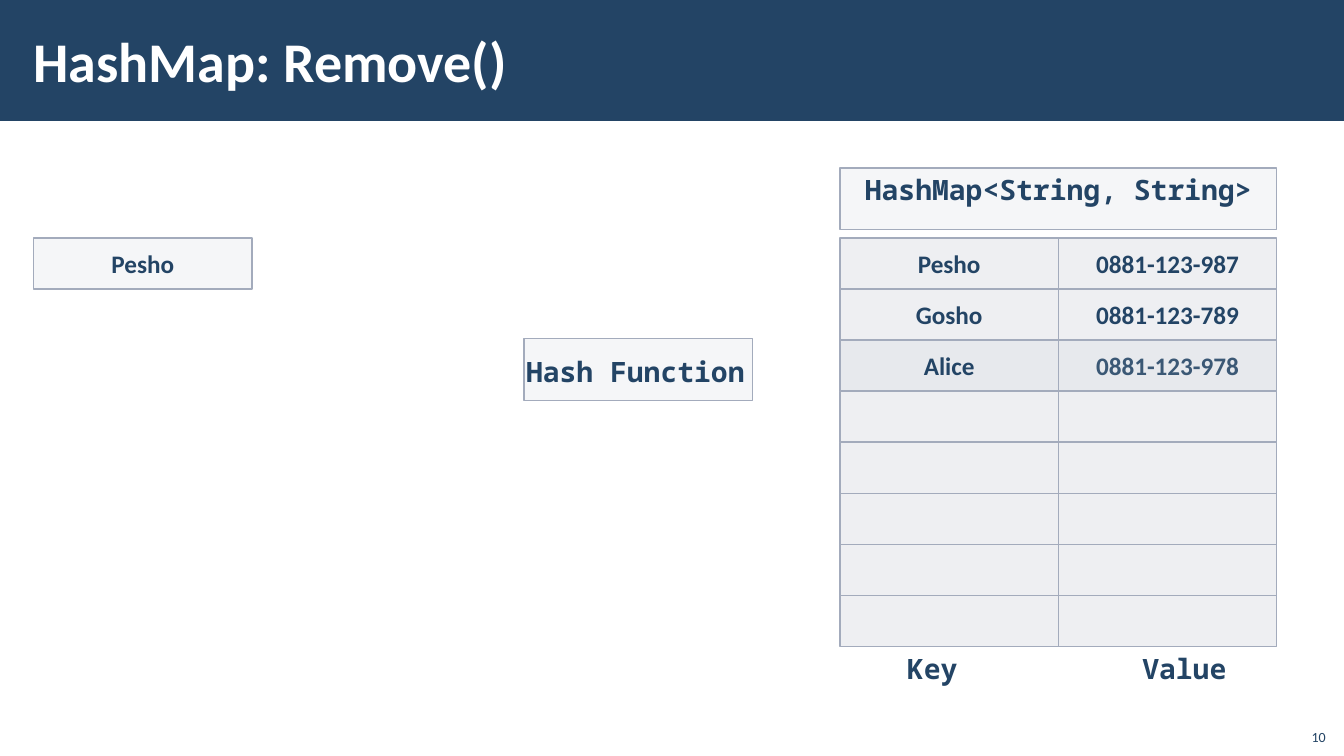
import pptx
import pptx.util
import pptx.dml.color
import pptx.enum.shapes
import pptx.enum.text
import pptx.oxml.ns
import lxml.etree
from dataclasses import dataclass

# Content
TITLE = "HashMap: Remove()"
LOOKUP_KEY = "Pesho"
HASH_LABEL = "Hash Function"
MAP_TYPE = "HashMap<String, String>"
ENTRIES = [
    ("Pesho", "0881-123-987"),
    ("Gosho", "0881-123-789"),
    ("Alice", "0881-123-978"),
]
COLUMN_LABELS = ("Key", "Value")
SLIDE_NUMBER = "10"
BUCKET_COUNT = 8
HIGHLIGHTED_ROW = 2


@dataclass(frozen=True)
class Theme:
    navy: str = "234465"
    muted: str = "3B5875"
    white: str = "FFFFFF"
    box: str = "C2C7D2"
    border: str = "A3ABBC"
    box_opacity: int = 15
    bucket_opacity: int = 28
    highlight_opacity: int = 39
    body_font: str = "Calibri"
    code_font: str = "Noto Sans Mono"
    title_size: int = 40
    code_size: int = 20
    cell_size: int = 18
    number_size: int = 10


THEME = Theme()
Pt = pptx.util.Pt
ALIGN = pptx.enum.text.PP_ALIGN
ANCHOR = pptx.enum.text.MSO_ANCHOR

# Layout, in points
SLIDE_WIDTH, SLIDE_HEIGHT = 960, 540
BAR_HEIGHT = 86.4
MAP_LEFT, MAP_TOP = 600, 170
COLUMN_WIDTH, ROW_HEIGHT, ROW_PITCH = 156, 36.4, 36.5
LABEL_SPREAD = 12
LABEL_HEIGHT = 32


def rgb(value):
    return pptx.dml.color.RGBColor.from_string(value)


def write(shape, text, size, font=THEME.body_font, color=THEME.navy, bold=True,
          align=ALIGN.CENTER, anchor=ANCHOR.MIDDLE, insets=(7.2, 3.6, 7.2, 3.6)):
    frame = shape.text_frame
    frame.text = text
    frame.word_wrap = True
    frame.vertical_anchor = anchor
    (frame.margin_left, frame.margin_top,
     frame.margin_right, frame.margin_bottom) = map(Pt, insets)
    paragraph = frame.paragraphs[0]
    paragraph.alignment = align
    for run in paragraph.runs:
        run.font.name = font
        run.font.size = Pt(size)
        run.font.bold = bold
        run.font.color.rgb = rgb(color)


def add_box(slide, left, top, width, height, opacity=THEME.box_opacity):
    shape = slide.shapes.add_shape(
        pptx.enum.shapes.MSO_SHAPE.RECTANGLE,
        Pt(left), Pt(top), Pt(width), Pt(height))
    shape.shadow.inherit = False
    shape.fill.solid()
    shape.fill.fore_color.rgb = rgb(THEME.box)
    color = shape.element.spPr.find(".//" + pptx.oxml.ns.qn("a:srgbClr"))
    alpha = lxml.etree.SubElement(color, pptx.oxml.ns.qn("a:alpha"))
    alpha.set("val", str(opacity * 1000))
    shape.line.color.rgb = rgb(THEME.border)
    shape.line.width = Pt(1)
    return shape


def add_label(slide, left, top, width, height):
    return slide.shapes.add_textbox(Pt(left), Pt(top), Pt(width), Pt(height))


def add_title(slide):
    bar = slide.shapes.add_shape(
        pptx.enum.shapes.MSO_SHAPE.RECTANGLE,
        0, 0, Pt(SLIDE_WIDTH), Pt(BAR_HEIGHT))
    bar.shadow.inherit = False
    bar.fill.solid()
    bar.fill.fore_color.rgb = rgb(THEME.navy)
    bar.line.fill.background()
    title = slide.shapes.title
    title.element.addprevious(bar.element)
    title.left, title.top, title.width, title.height = map(Pt, (15, 8, 765, 70))
    write(title, TITLE, THEME.title_size, color=THEME.white,
          align=ALIGN.LEFT, insets=(9, 3, 9, 3))


def add_hash_map(slide):
    # Type header
    header = add_box(slide, MAP_LEFT, 120, 2 * COLUMN_WIDTH, 44)
    write(header, MAP_TYPE, THEME.code_size, THEME.code_font, anchor=ANCHOR.TOP)

    # Buckets
    for row in range(BUCKET_COUNT):
        highlighted = row == HIGHLIGHTED_ROW
        opacity = THEME.highlight_opacity if highlighted else THEME.bucket_opacity
        for column in range(2):
            cell = add_box(slide, MAP_LEFT + column * COLUMN_WIDTH,
                           MAP_TOP + row * ROW_PITCH,
                           COLUMN_WIDTH, ROW_HEIGHT, opacity)
            if row < len(ENTRIES):
                color = THEME.muted if highlighted and column == 1 else THEME.navy
                write(cell, ENTRIES[row][column], THEME.cell_size, color=color)

    # Column labels
    label_top = MAP_TOP + BUCKET_COUNT * ROW_PITCH
    for column, text in enumerate(COLUMN_LABELS):
        shift = LABEL_SPREAD * (2 * column - 1)
        label = add_label(slide, MAP_LEFT + column * COLUMN_WIDTH + shift,
                          label_top, COLUMN_WIDTH, LABEL_HEIGHT)
        write(label, text, THEME.code_size, THEME.code_font, anchor=ANCHOR.TOP)


def main():
    presentation = pptx.Presentation()
    presentation.slide_width = Pt(SLIDE_WIDTH)
    presentation.slide_height = Pt(SLIDE_HEIGHT)
    slide = presentation.slides.add_slide(presentation.slide_layouts[5])

    add_title(slide)

    # Key to remove and hash function
    key_box = add_box(slide, 24, MAP_TOP, COLUMN_WIDTH, ROW_HEIGHT)
    write(key_box, LOOKUP_KEY, THEME.cell_size)
    hash_box = add_box(slide, 374.4, 242, 163, 44)
    write(hash_box, HASH_LABEL, THEME.code_size, THEME.code_font,
          anchor=ANCHOR.TOP, insets=(0, 11.5, 4, 0))

    add_hash_map(slide)

    # Slide number
    number = add_label(slide, 925, 512.6, 29, 23)
    write(number, SLIDE_NUMBER, THEME.number_size, bold=False,
          align=ALIGN.RIGHT, anchor=ANCHOR.BOTTOM)

    presentation.save("out.pptx")


if __name__ == "__main__":
    main()
